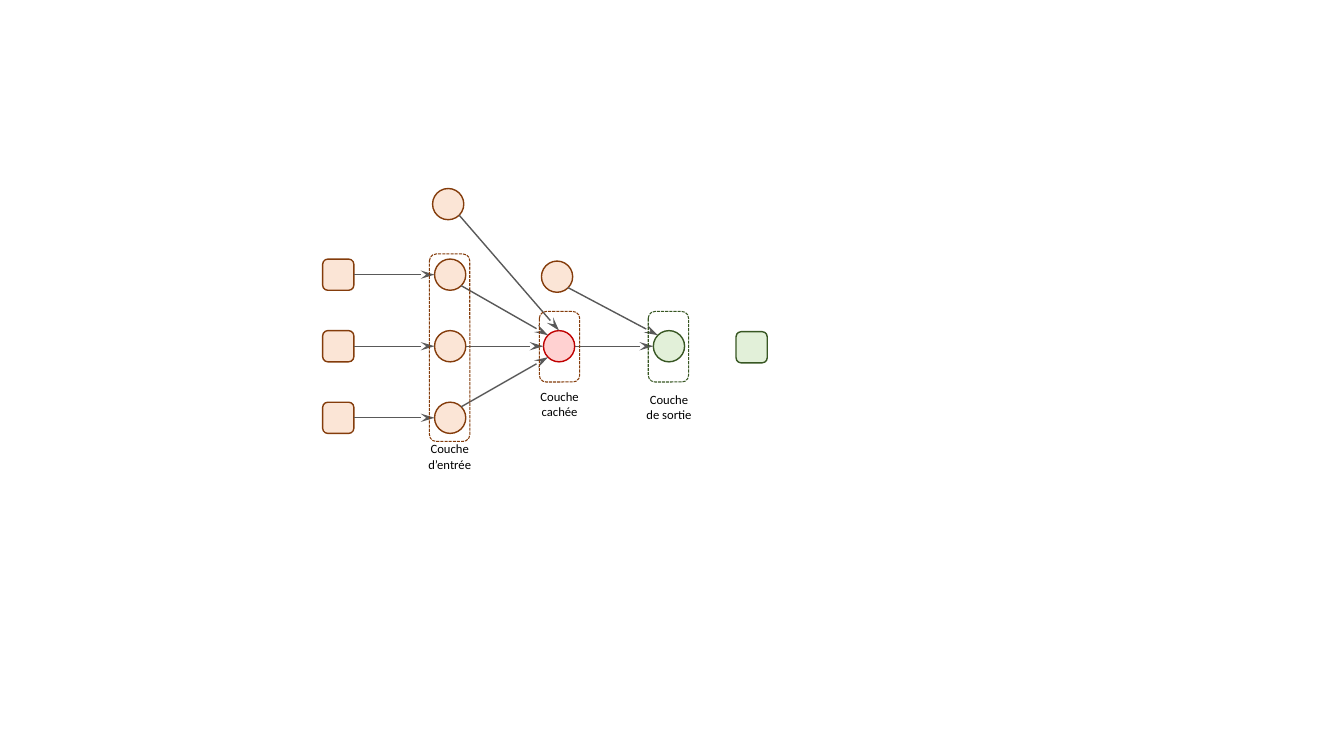
from lxml import etree
from pptx import Presentation, util as u
from pptx.dml.color import RGBColor
from pptx.enum import dml, shapes, text
from pptx.oxml import ns

PEACH, BROWN = RGBColor(0xFB, 0xE5, 0xD6), RGBColor(0x84, 0x3C, 0x0B)
PINK, RED = RGBColor(0xFF, 0xD1, 0xD1), RGBColor(0xC0, 0x00, 0x00)
MINT, GREEN = RGBColor(0xE2, 0xF0, 0xD9), RGBColor(0x38, 0x57, 0x23)
GREY, BLACK = RGBColor(0x59, 0x59, 0x59), RGBColor(0, 0, 0)

CIRCLE = shapes.MSO_SHAPE.OVAL
SQUARE = shapes.MSO_SHAPE.ROUNDED_RECTANGLE
RIGHT, LEFT, TOP = (1, 0.5), (0, 0.5), (0.5, 0)
UPPER_LEFT, LOWER_LEFT = (0.15, 0.15), (0.15, 0.85)
UPPER_RIGHT, LOWER_RIGHT = (0.85, 0.15), (0.85, 0.85)


class NetworkDiagram:
    """Draws the parts of a neural network on one slide, at 100 px to the inch."""

    PX = 9144
    NODE = 31
    FONT = "Calibri"

    def __init__(self, slide):
        self.slide = slide

    def px(self, *lengths):
        return [u.Emu(round(length * self.PX)) for length in lengths]

    def outline(self, left, top, width, height, kind, line, weight):
        part = self.slide.shapes.add_shape(kind, *self.px(left, top, width, height))
        part.shadow.inherit = False
        part.fill.background()
        part.line.color.rgb = line
        part.line.width = u.Pt(weight)
        return part

    def node(self, left, top, kind, fill, line):
        part = self.outline(left, top, self.NODE, self.NODE, kind, line, 1)
        part.fill.solid()
        part.fill.fore_color.rgb = fill
        return part

    def layer(self, left, top, height, line):
        frame = self.outline(left, top, 40, height, SQUARE, line, 0.75)
        frame.line.dash_style = dml.MSO_LINE.SQUARE_DOT

    def arrow(self, source, source_port, target, target_port):
        ends = [
            u.Emu(round(start + size * share))
            for part, port in ((source, source_port), (target, target_port))
            for start, size, share in (
                (part.left, part.width, port[0]),
                (part.top, part.height, port[1]),
            )
        ]
        link = self.slide.shapes.add_connector(shapes.MSO_CONNECTOR.STRAIGHT, *ends)
        link.line.color.rgb = GREY
        link.line.width = u.Pt(1)
        etree.SubElement(link.line._get_or_add_ln(), ns.qn("a:tailEnd"),
                         type="stealth", w="med", len="lg")
        etree.SubElement(link._element.spPr, ns.qn("a:effectLst"))
        return link

    def caption(self, left, top, width, lines):
        box = self.slide.shapes.add_textbox(*self.px(left, top, width, 40))
        frame = box.text_frame
        frame.word_wrap = False
        frame.auto_size = text.MSO_AUTO_SIZE.SHAPE_TO_FIT_TEXT
        for index, words in enumerate(lines):
            paragraph = frame.add_paragraph() if index else frame.paragraphs[0]
            paragraph.alignment = text.PP_ALIGN.CENTER
            run = paragraph.add_run()
            run.text = words
            run.font.name = self.FONT
            run.font.size = u.Pt(9)
            run.font.color.rgb = BLACK

    def input_row(self, top):
        feature = self.node(320, top, SQUARE, PEACH, BROWN)
        neuron = self.node(431, top, CIRCLE, PEACH, BROWN)
        link = self.arrow(feature, RIGHT, neuron, LEFT)
        self.slide.shapes.add_group_shape([feature, neuron, link])
        return neuron


def main():
    deck = Presentation()
    deck.slide_width, deck.slide_height = u.Inches(13.33), u.Inches(7.5)
    diagram = NetworkDiagram(deck.slides.add_slide(deck.slide_layouts[6]))

    inputs = [diagram.input_row(257 + 71 * row) for row in range(3)]
    hidden = diagram.node(539, 328, CIRCLE, PINK, RED)
    ports = ((LOWER_RIGHT, UPPER_LEFT), (RIGHT, LEFT), (UPPER_RIGHT, LOWER_LEFT))
    for neuron, (start, end) in zip(inputs, ports):
        diagram.arrow(neuron, start, hidden, end)

    hidden_bias = diagram.node(429, 187, CIRCLE, PEACH, BROWN)
    diagram.arrow(hidden_bias, LOWER_RIGHT, hidden, TOP)
    output = diagram.node(648, 328, CIRCLE, MINT, GREEN)
    diagram.arrow(hidden, RIGHT, output, LEFT)
    output_bias = diagram.node(537, 259, CIRCLE, PEACH, BROWN)
    diagram.arrow(output_bias, LOWER_RIGHT, output, UPPER_LEFT)

    diagram.layer(426, 252, 186, BROWN)
    diagram.layer(535, 309, 70, BROWN)
    diagram.layer(643, 309, 70, GREEN)
    diagram.caption(414, 433, 64, ("Couche", "d’entrée"))
    diagram.caption(526, 381, 58, ("Couche", "cachée"))
    diagram.caption(631, 384, 65, ("Couche", "de sortie"))
    diagram.node(730, 329, SQUARE, MINT, GREEN)

    deck.save("out.pptx")


if __name__ == "__main__":
    main()
